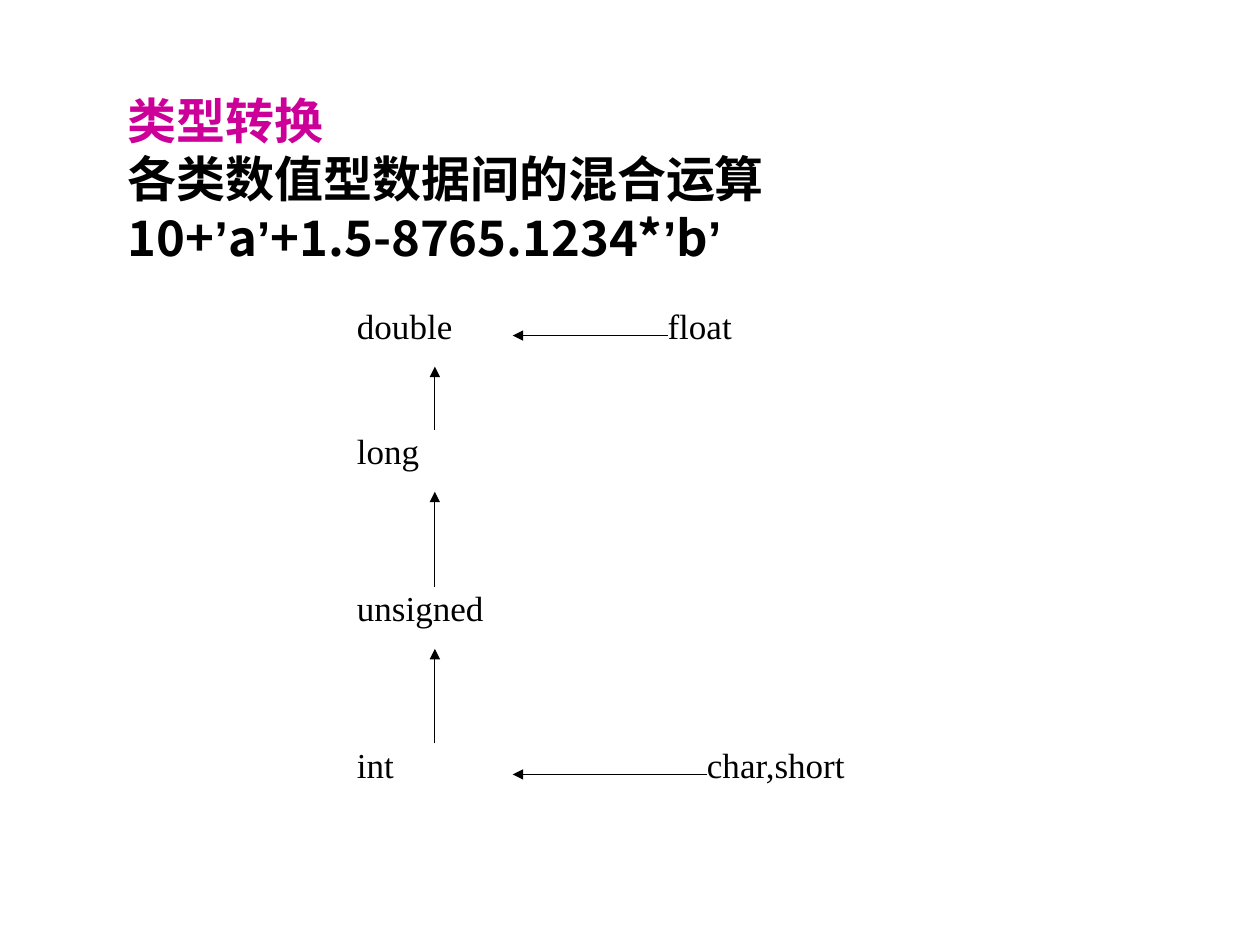
import pptx
import pptx.dml.color
import pptx.enum.shapes
import pptx.enum.text
import pptx.oxml
import pptx.oxml.ns
import pptx.util

Pt = pptx.util.Pt
HUES = {"ink": "000000", "pink": "CC0099", "white": "FFFFFF"}
SANS, MARK, SERIF = "Noto Sans CJK SC", "Arial", "Times New Roman"


def hue(name):
    return pptx.dml.color.RGBColor.from_string(HUES[name])


def tag(name, **attrs):
    node = pptx.oxml.parse_xml(
        f'<a:{name} xmlns:a="http://schemas.openxmlformats.org/drawingml/2006/main"/>')
    for key, value in attrs.items():
        node.set(key, value)
    return node


def write(para, text, font=SERIF, size=20, color="ink", bold=False):
    run = para.add_run()
    run.text = text
    run.font.size = Pt(size)
    run.font.bold = bold
    run.font.color.rgb = hue(color)
    run.font.name = font
    run.font._element.append(tag("ea", typeface=font))


class Board:
    def __init__(self, slide):
        self.slide = slide
        self.line = 0.75

    def title(self, left, top, wide, high, lines):
        box = self.slide.shapes.add_textbox(Pt(left), Pt(top), Pt(wide), Pt(high))
        frame = box.text_frame
        frame.word_wrap = True
        for row, (color, parts) in enumerate(lines):
            para = frame.add_paragraph() if row else frame.paragraphs[0]
            para.line_spacing = Pt(33.6)
            for part in parts:
                font = MARK if part == "’" else SANS
                write(para, part, font=font, size=28, color=color, bold=True)

    def label(self, text, left, top, wide, high):
        box = self.slide.shapes.add_shape(
            pptx.enum.shapes.MSO_SHAPE.RECTANGLE, Pt(left), Pt(top), Pt(wide), Pt(high))
        box.shadow.inherit = False
        box.fill.solid()
        box.fill.fore_color.rgb = hue("white")
        box.line.color.rgb = hue("white")
        box.line.width = Pt(self.line)
        frame = box.text_frame
        frame.word_wrap = True
        frame.vertical_anchor = pptx.enum.text.MSO_ANCHOR.TOP
        frame.margin_left = frame.margin_right = 0
        frame.margin_top = frame.margin_bottom = 0
        para = frame.paragraphs[0]
        para.alignment = pptx.enum.text.PP_ALIGN.JUSTIFY
        write(para, text)

    def arrow(self, *ends):
        link = self.slide.shapes.add_connector(
            pptx.enum.shapes.MSO_CONNECTOR.STRAIGHT, *map(Pt, ends))
        link.line.color.rgb = hue("ink")
        link.line.width = Pt(self.line)
        props = link._element.spPr
        props.find(pptx.oxml.ns.qn("a:ln")).append(tag("tailEnd", type="triangle"))
        props.append(tag("effectLst"))


def main():
    deck = pptx.Presentation()
    deck.slide_width, deck.slide_height = Pt(720), Pt(540)
    board = Board(deck.slides.add_slide(deck.slide_layouts[6]))

    board.title(66, 48, 606, 108, [
        ("pink", ["类型转换"]),
        ("ink", ["各类数值型数据间的混合运算"]),
        ("ink", ["10+", "’", "a", "’", "+1.5-8765.1234*", "’", "b", "’"]),
    ])

    left, wide, high = 204, 89, 35.5
    chain = [("double", 174, wide), ("long", 245.5, wide),
             ("unsigned", 335.3, 111), ("int", 424.8, wide)]
    sides = [("float", 381.5, 174, wide), ("char,short", 404, 424.8, 133)]

    for text, top, span in chain:
        board.label(text, left, top, span, high)
    for text, start, top, span in sides:
        board.label(text, start, top, span, high)

    mid = left + wide / 2
    for (_, upper, _), (_, lower, _) in zip(chain, chain[1:]):
        board.arrow(mid, lower, mid, upper + high)
    for _, start, top, _ in sides:
        level = top + high / 2
        board.arrow(start, level, left + wide, level)

    deck.save("out.pptx")


if __name__ == "__main__":
    main()
